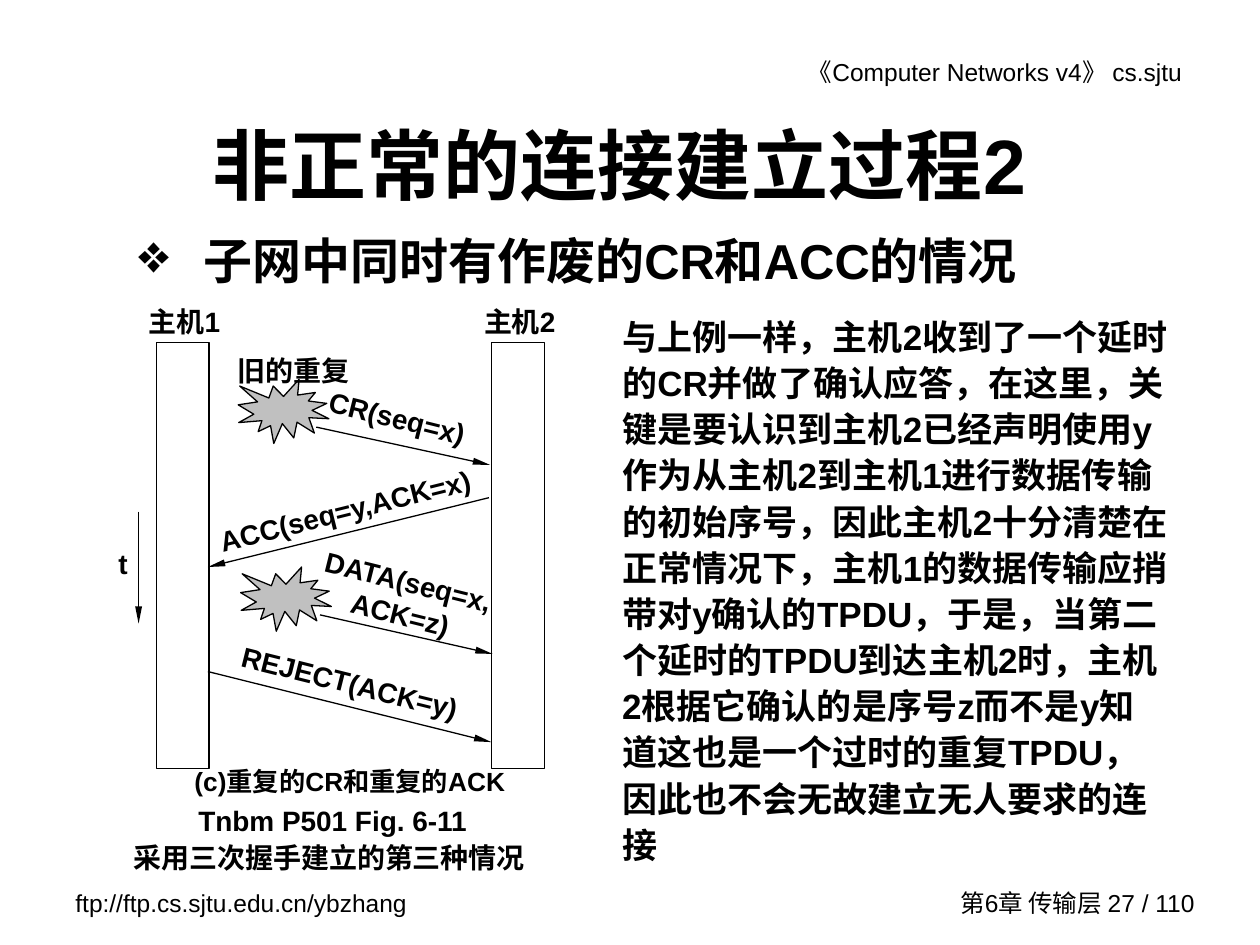
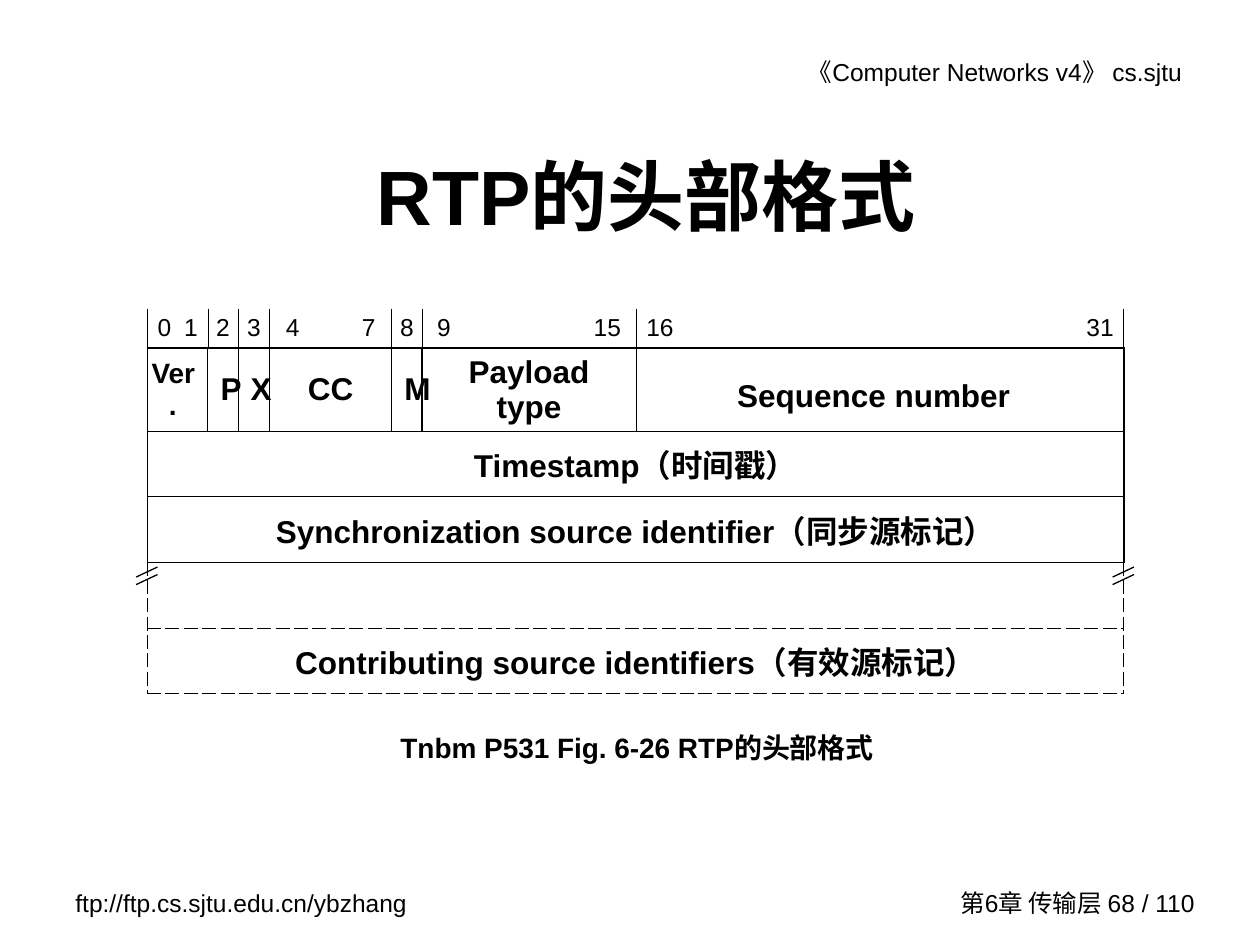
from pptx import Presentation
from pptx.dml.color import RGBColor
from pptx.enum.shapes import MSO_CONNECTOR as Conn, MSO_SHAPE as Shape
from pptx.enum.text import MSO_ANCHOR as Anchor, PP_ALIGN as Align
from pptx.oxml.ns import qn
from pptx.util import Inches, Pt
from lxml.etree import SubElement as Sub

# Shared look
FONT, INK, GREY = "Arial", "000000", "C0C0C0"
HEAD = "《Computer Networks v4》 cs.sjtu"
SITE = "ftp://ftp.cs.sjtu.edu.cn/ybzhang"
PAGE = "第6章 传输层 {} / 110"

# Handshake slide
TOPIC = "子网中同时有作废的CR和ACC的情况"
STORY = ("与上例一样，主机2收到了一个延时的CR并做了确认应答，在这里，"
         "关键是要认识到主机2已经声明使用y作为从主机2到主机1进行数据传输的初始序号，"
         "因此主机2十分清楚在正常情况下，主机1的数据传输应捎带对y确认的TPDU，"
         "于是，当第二个延时的TPDU到达主机2时，主机2根据它确认的是序号z而不是y"
         "知道这也是一个过时的重复TPDU，因此也不会无故建立无人要求的连接")
SOURCE = ["Tnbm P501 Fig. 6-11", "采用三次握手建立的第三种情况 "]
HOSTS = [("主机1", 1.24), ("主机2", 3.9)]
ARROWS = [
    ((1.65, 5.33), (3.9, 5.89)),
    ((3.88, 3.95), (1.65, 4.5)),
    ((1.1, 4.06), (1.1, 4.95)),
    ((2.51, 3.39), (3.89, 3.69)),
    ((2.54, 4.88), (3.91, 5.19)),
]
SEALS = [(1.89, 3.01), (1.91, 4.5)]
# message, box, turn
CALLS = [
    ("REJECT(ACK=y) ", (1.57, 5.24, 2.47, 0.38), 14),
    ("CR(seq=x)", (2.42, 3.13, 1.46, 0.38), 14),
    ("DATA(seq=x,ACK=z)", (2.44, 4.43, 1.6, 0.38), 14),
]

# RTP header slide
COLS = [0.48, 0.24, 0.25, 0.97, 0.24, 1.7, 3.87]
ROWS = [0.28, 0.55, 0.52, 0.52, 0.52, 0.52]
# first and last bit of each field, side gap
BITS = [("0", "1", 0.08), ("2",), ("3",), ("4", "7", 0.13), ("8",),
        ("9", "15", 0.12), ("16", "31", 0.08)]
FIELDS = ["Ver.", "P", "X", "CC", "M", "Payload type", "Sequence number"]
WORDS = ["Timestamp（时间戳）", "Synchronization source identifier（同步源标记）",
         "", "Contributing source identifiers（有效源标记）"]
# per row: left, inner, right, top, bottom weight, dashed sides
RULES = [
    (1.08, 0.45, 0.45, 0, 1.08, ""),
    (1.08, 0.75, 1.08, 1.08, 0.75, ""),
    (1.08, 0, 1.08, 0.75, 0.75, ""),
    (1.08, 0, 1.08, 0.75, 1.08, ""),
    (0.45, 0, 0.45, 1.08, 0.45, "LRB"),
    (0.45, 0, 0.45, 0.45, 0.45, "LRTB"),
]
EDGES = [1.08, 8.83]


def color(code):
    return RGBColor.from_string(code)


def style(par, size, bold=True, align=Align.LEFT):
    par.alignment = align
    font = par.font
    font.name, font.size, font.bold = FONT, Pt(size), bold
    font.color.rgb = color(INK)


def text(slide, box, lines, size=16, bold=True, align=Align.LEFT,
         anchor=Anchor.TOP, turn=0, side=0.1, bullet=None, pitch=None):
    item = slide.shapes.add_textbox(*map(Inches, box))
    item.rotation = turn
    frame = item.text_frame
    frame.word_wrap, frame.vertical_anchor = True, anchor
    frame.margin_left = frame.margin_right = Inches(side)
    for i, line in enumerate([lines] if isinstance(lines, str) else lines):
        par = frame.add_paragraph() if i else frame.paragraphs[0]
        par.text = line
        props = par._p.get_or_add_pPr()
        props.set("hangingPunct", "0")
        if bullet:
            props.set("marL", str(Inches(0.52)))
            props.set("indent", str(-Inches(0.52)))
            Sub(props, qn("a:buSzPct"), val="110000")
            Sub(props, qn("a:buChar"), char=bullet)
        if pitch:
            par.line_spacing = pitch
        if i:
            par.space_before = Pt(2)
        style(par, size, bold, align)
    return item


def line(slide, start, end, arrow=False):
    item = slide.shapes.add_connector(Conn.STRAIGHT, *map(Inches, start + end))
    item.line.width = Pt(0.75)
    item.line.color.rgb = color(INK)
    if arrow:
        Sub(item.line._get_or_add_ln(), qn("a:tailEnd"),
            type="triangle", w="sm", len="lg")
    Sub(item._element.spPr, qn("a:effectLst"))


def shape(slide, kind, box, fill=None):
    item = slide.shapes.add_shape(kind, *map(Inches, box))
    item.shadow.inherit = False
    if fill:
        item.fill.solid()
        item.fill.fore_color.rgb = color(fill)
    else:
        item.fill.background()
    item.line.color.rgb = color(INK)
    item.line.width = Pt(0.75)


def border(cell, side, weight, dash):
    props = cell._tc.get_or_add_tcPr()
    if not weight:
        Sub(Sub(props, qn("a:ln" + side), w="0"), qn("a:noFill"))
        return
    edge = Sub(props, qn("a:ln" + side), w=str(Pt(weight)))
    Sub(Sub(edge, qn("a:solidFill")), qn("a:srgbClr"), val=INK)
    Sub(edge, qn("a:prstDash"), val="dash" if dash else "solid")


def fill_cell(cell, words, size, bold, anchor=Anchor.MIDDLE):
    cell.vertical_anchor = anchor
    par = cell.text_frame.paragraphs[0]
    par.text = words
    style(par, size, bold, Align.CENTER)


def fill_bits(cell, bits, width):
    cell.margin_left = cell.margin_right = Inches(0.02)
    cell.margin_top = Inches(0.03)
    if len(bits) == 1:
        fill_cell(cell, bits[0], 14, False, Anchor.BOTTOM)
        return
    *ends, gap = bits
    cell.margin_left = Inches(gap)
    par = cell.text_frame.paragraphs[0]
    tabs = Sub(par._p.get_or_add_pPr(), qn("a:tabLst"))
    Sub(tabs, qn("a:tab"), pos=str(Inches(width - 2 * gap)), algn="r")
    fill_cell(cell, chr(9).join(ends), 14, False, Anchor.BOTTOM)
    par.alignment = Align.LEFT


def start(deck, title, box, page):
    slide = deck.slides.add_slide(deck.slide_layouts[6])
    top = text(slide, (5.28, 0.4, 4.31, 0.34), HEAD, 14, False, Align.RIGHT)
    top.text_frame.margin_right = Inches(0.21)
    text(slide, (0.5, 7, 2.92, 0.34), SITE, 14, False)
    text(slide, (7.32, 7, 2.26, 0.33), PAGE.format(page), 14, False,
         Align.RIGHT, Anchor.MIDDLE)
    text(slide, box, title, 44, True, Align.CENTER, Anchor.MIDDLE)
    return slide


def handshake(deck):
    slide = start(deck, "非正常的连接建立过程2 ", (0.75, 0.67, 8.5, 1.25), 27)
    text(slide, (1, 1.78, 8.25, 0.63), TOPIC, 28, bullet="❖")
    text(slide, (4.84, 2.42, 4.54, 4.5), STORY, 20, pitch=1.1)
    text(slide, (0.75, 6.33, 3.78, 0.67), SOURCE, align=Align.CENTER)
    # Hosts and messages
    for name, left in HOSTS:
        shape(slide, Shape.RECTANGLE, (left, 2.72, 0.42, 3.38))
        text(slide, (left - 0.18, 2.37, 0.81, 0.38), name, align=Align.CENTER)
    for tail, tip in ARROWS:
        line(slide, tail, tip, arrow=True)
    for words, box, turn in CALLS:
        text(slide, box, words, align=Align.CENTER, turn=turn)
    text(slide, (1.65, 3.86, 2.24, 0.39), "ACC(seq=y,ACK=x) ", align=Align.CENTER,
         anchor=Anchor.MIDDLE, turn=346, side=0.02, pitch=0.96)
    # Old duplicates and labels
    for left, top in SEALS:
        shape(slide, Shape.EXPLOSION1, (left, top, 0.72, 0.51), GREY)
    text(slide, (1.79, 2.76, 1.25, 0.37), "旧的重复")
    text(slide, (0.84, 4.29, 0.32, 0.38), "t")
    text(slide, (1.48, 5.98, 2.65, 0.44), "(c)重复的CR和重复的ACK ", 15,
         align=Align.CENTER, anchor=Anchor.MIDDLE, side=0.02)


def header(deck):
    slide = start(deck, "RTP的头部格式", (0.88, 0.92, 8.5, 1.25), 68)
    box = map(Inches, (1.17, 2.45, sum(COLS), sum(ROWS)))
    table = slide.shapes.add_table(len(ROWS), len(COLS), *box).table
    table.first_row = table.horz_banding = False
    for col, width in zip(table.columns, COLS):
        col.width = Inches(width)
    for row, height in zip(table.rows, ROWS):
        row.height = Inches(height)
    # Words
    for c, (bits, field) in enumerate(zip(BITS, FIELDS)):
        fill_bits(table.cell(0, c), bits, COLS[c])
        cell = table.cell(1, c)
        cell.margin_top = cell.margin_bottom = Inches(0.03)
        fill_cell(cell, field, 18 if c else 16, True)
    last = len(COLS) - 1
    table.cell(1, 0).margin_left = Inches(0.02)
    table.cell(1, last).margin_top = Inches(0.13)
    table.cell(1, last).margin_right = Inches(0.2)
    for r, words in enumerate(WORDS, 2):
        table.cell(r, 0).merge(table.cell(r, last))
        fill_cell(table.cell(r, 0), words, 18, True)
    # Borders
    for r, (left, inner, right, top, bottom, dashed) in enumerate(RULES):
        for c in range(len(COLS)):
            cell = table.cell(r, c)
            if not cell.is_spanned:
                ends = cell.is_merge_origin or c == last
                sides = {"L": inner if c else left, "R": right if ends else inner,
                         "T": top, "B": bottom}
                for side, weight in sides.items():
                    border(cell, side, weight, side in dashed)
            cell.fill.background()
    # Break marks
    for x in EDGES:
        for y in (4.5, 4.56):
            line(slide, (x + 0.17, y), (x, y + 0.08))
    text(slide, (3.08, 5.75, 3.99, 0.64), "Tnbm P531 Fig. 6-26 RTP的头部格式")


def main():
    deck = Presentation()
    deck.slide_width, deck.slide_height = Inches(10), Inches(7.5)
    handshake(deck)
    header(deck)
    deck.save("out.pptx")


if __name__ == "__main__":
    main()
